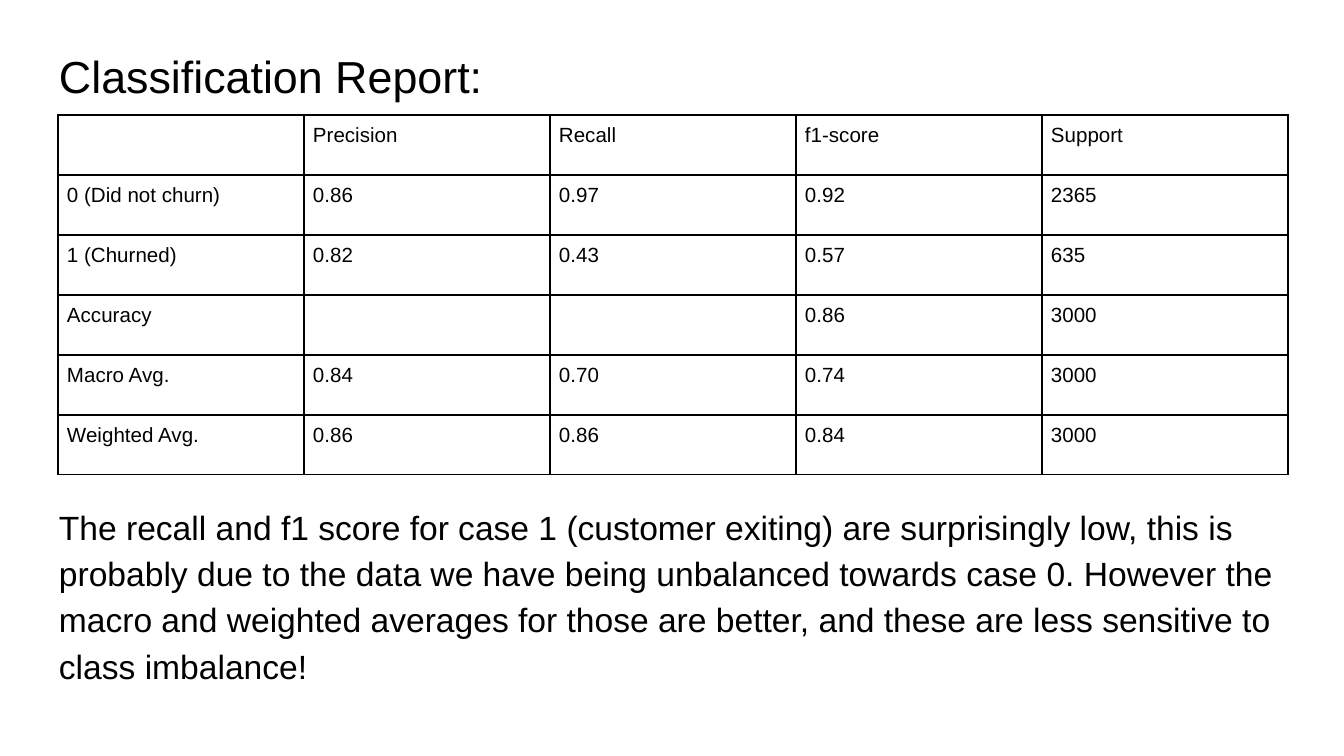
from lxml.etree import SubElement
from pptx import Presentation
from pptx.dml.color import RGBColor
from pptx.oxml.ns import qn
from pptx.util import Emu, Pt

TITLE = "Classification Report:"
SCORES = [
    ("", "Precision", "Recall", "f1-score", "Support"),
    ("0 (Did not churn)", "0.86", "0.97", "0.92", "2365"),
    ("1 (Churned)", "0.82", "0.43", "0.57", "635"),
    ("Accuracy", "", "", "0.86", "3000"),
    ("Macro Avg.", "0.84", "0.70", "0.74", "3000"),
    ("Weighted Avg.", "0.86", "0.86", "0.84", "3000"),
]
FINDING = (
    "The recall and f1 score for case 1 (customer exiting) are surprisingly low, "
    "this is probably due to the data we have being unbalanced towards case 0. "
    "However the macro and weighted averages for those are better, and these are "
    "less sensitive to class imbalance!"
)

BLACK = RGBColor(0x00, 0x00, 0x00)
FONT = "Arial"
SLIDE_WIDTH, SLIDE_HEIGHT = 1344, 756
COLUMN_WIDTH, ROW_HEIGHT = 246, 60


def px(length):
    return Emu(round(length * 9144000 / SLIDE_WIDTH))


def set_insets(holder, inset):
    holder.margin_left = holder.margin_right = px(inset)
    holder.margin_top = holder.margin_bottom = px(inset)


def write(paragraph, text, size, spacing=None, before=0):
    paragraph.line_spacing = spacing
    paragraph.space_before = Pt(before)
    paragraph.font.size = Pt(size)
    if text:
        run = paragraph.add_run()
        run.text = text
        run.font.name = FONT
        run.font.size = Pt(size)
        run.font.color.rgb = BLACK


def add_borders(cell):
    properties = cell._tc.get_or_add_tcPr()
    for position, side in enumerate(("a:lnL", "a:lnR", "a:lnT", "a:lnB")):
        border = SubElement(properties, qn(side), w=str(Pt(1)))
        fill = SubElement(border, qn("a:solidFill"))
        SubElement(fill, qn("a:srgbClr"), val=str(BLACK))
        properties.insert(position, border)


def add_commentary(slide):
    commentary = slide.shapes.add_textbox(px(46), px(28), px(1253), px(642)).text_frame
    commentary.word_wrap = True
    set_insets(commentary, 13)
    write(commentary.paragraphs[0], TITLE, size=24, spacing=1.15)
    write(commentary.add_paragraph(), FINDING, size=18, spacing=1.15, before=213)


def add_report(slide):
    row_count, column_count = len(SCORES), len(SCORES[0])
    report = slide.shapes.add_table(
        row_count, column_count, px(58), px(115),
        px(column_count * COLUMN_WIDTH), px(row_count * ROW_HEIGHT),
    ).table
    report.first_row = report.horz_banding = False
    for row, scores in enumerate(SCORES):
        for column, score in enumerate(scores):
            cell = report.cell(row, column)
            cell.fill.background()
            set_insets(cell, 9)
            add_borders(cell)
            write(cell.text_frame.paragraphs[0], score, size=11)


def main():
    """Build the classification report slide."""
    deck = Presentation()
    deck.slide_width, deck.slide_height = px(SLIDE_WIDTH), px(SLIDE_HEIGHT)
    slide = deck.slides.add_slide(deck.slide_layouts[6])
    add_commentary(slide)
    add_report(slide)
    deck.save("out.pptx")


if __name__ == "__main__":
    main()
